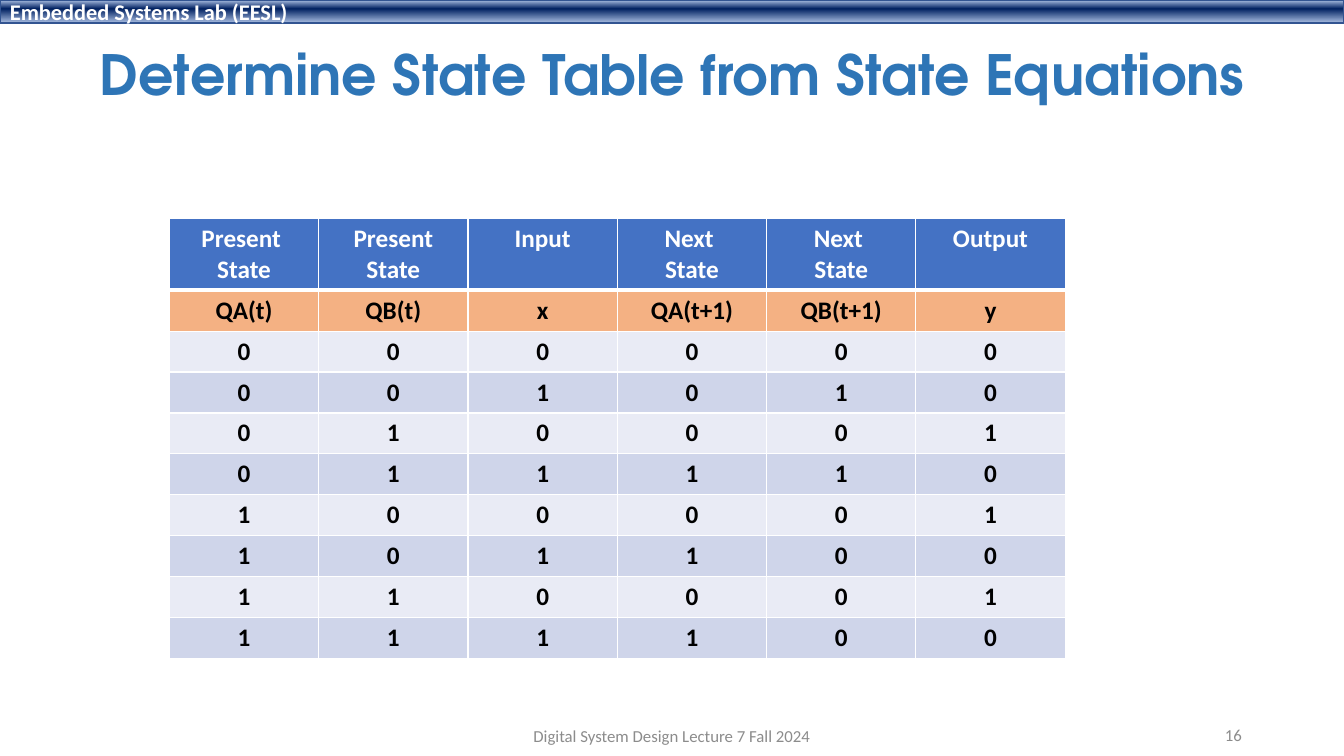
import lxml.etree
import pptx
import pptx.dml.color
import pptx.enum.shapes
import pptx.enum.text
import pptx.oxml.ns
import pptx.util

Pt = pptx.util.Pt
RGBColor = pptx.dml.color.RGBColor
ALIGN = pptx.enum.text.PP_ALIGN
MIDDLE = pptx.enum.text.MSO_ANCHOR.MIDDLE
qn = pptx.oxml.ns.qn

WHITE = RGBColor(0xFF, 0xFF, 0xFF)
BLACK = RGBColor(0x00, 0x00, 0x00)
GREY = RGBColor(0x8C, 0x8C, 0x8C)
TITLE_BLUE = RGBColor(0x2E, 0x75, 0xB6)
BAR_LINE = RGBColor(0x32, 0x54, 0x91)
BAR_LIGHT = RGBColor(0xAB, 0xC0, 0xE4)
BAR_NAVY = RGBColor(0x00, 0x20, 0x60)
HEADER_BLUE = RGBColor(0x44, 0x72, 0xC4)
SIGNAL_ORANGE = RGBColor(0xF4, 0xB1, 0x83)
BAND_LIGHT = RGBColor(0xE9, 0xEB, 0xF5)
BAND_DARK = RGBColor(0xCF, 0xD5, 0xEA)

BODY_FONT = "Calibri"
TITLE_FONT = "TeX Gyre Adventor"
HEADINGS = ["Present \nState", "Present\nState", "Input",
            "Next \nState", "Next \nState", "Output"]
SIGNALS = ["QA(t)", "QB(t)", "x", "QA(t+1)", "QB(t+1)", "y"]
STATES = ["000000", "001010", "010001", "011110",
          "100001", "101100", "110001", "111100"]
HEADER_HEIGHT = 50.4
ROW_HEIGHT = 29.2


def write(frame, text, size, color, align, bold=False, font=BODY_FONT):
    for index, line in enumerate(text.split("\n")):
        para = frame.add_paragraph() if index else frame.paragraphs[0]
        para.alignment = align
        span = para.add_run()
        span.text = line
        span.font.name = font
        span.font.size = Pt(size)
        span.font.bold = bold
        span.font.color.rgb = color


def add_lab_bar(page, left, top, width, height):
    bar = page.shapes.add_shape(pptx.enum.shapes.MSO_SHAPE.RECTANGLE,
                                Pt(left), Pt(top), Pt(width), Pt(height))
    bar.shadow.inherit = False
    bar.line.color.rgb = BAR_LINE
    bar.line.width = Pt(1)
    # Vertical gradient: light edges around a navy band
    bar.fill.gradient()
    bar.fill.gradient_angle = 270
    first, last = bar.fill.gradient_stops
    for stop, place, color in [(first, 0, BAR_LIGHT), (last, 1, BAR_LIGHT)]:
        stop.position = place
        stop.color.rgb = color
    stops = bar.element.spPr.find(qn("a:gradFill")).find(qn("a:gsLst"))
    navy = lxml.etree.Element(qn("a:gs"), pos="38000")
    lxml.etree.SubElement(navy, qn("a:srgbClr"), val=str(BAR_NAVY))
    stops.insert(1, navy)
    # Label
    frame = bar.text_frame
    frame.margin_top = frame.margin_bottom = Pt(0)
    frame.vertical_anchor = MIDDLE
    write(frame, "Embedded Systems Lab (EESL)", 16, WHITE, ALIGN.LEFT, bold=True)


def place_title(page, left, top, width, height):
    title = page.shapes.title
    title.left, title.top = Pt(left), Pt(top)
    title.width, title.height = Pt(width), Pt(height)
    frame = title.text_frame
    frame.vertical_anchor = MIDDLE
    write(frame, "Determine State Table from State Equations", 39.6, TITLE_BLUE,
          ALIGN.LEFT, bold=True, font=TITLE_FONT)
    frame.paragraphs[0].line_spacing = 0.9


def set_borders(cell, top, bottom):
    properties = cell._tc.get_or_add_tcPr()
    sides = [("L", 1), ("R", 1), ("T", top), ("B", bottom)]
    for index, (side, weight) in enumerate(sides):
        edge = lxml.etree.Element(qn("a:ln" + side), w=str(Pt(weight)))
        fill = lxml.etree.SubElement(edge, qn("a:solidFill"))
        lxml.etree.SubElement(fill, qn("a:srgbClr"), val=str(WHITE))
        properties.insert(index, edge)


def add_state_table(page, left, top, width):
    rows = [HEADINGS, SIGNALS] + [list(state) for state in STATES]
    height = HEADER_HEIGHT + ROW_HEIGHT * (len(rows) - 1)
    table = page.shapes.add_table(len(rows), len(HEADINGS), Pt(left), Pt(top),
                                  Pt(width), Pt(height)).table
    for column in table.columns:
        column.width = Pt(width / len(HEADINGS))
    for index, texts in enumerate(rows):
        table.rows[index].height = Pt(ROW_HEIGHT if index else HEADER_HEIGHT)
        if index < 2:
            fill = (HEADER_BLUE, SIGNAL_ORANGE)[index]
        else:
            fill = (BAND_LIGHT, BAND_DARK)[index % 2]
        for cell, text in zip(table.rows[index].cells, texts):
            cell.fill.solid()
            cell.fill.fore_color.rgb = fill
            set_borders(cell, top=3 if index == 1 else 1, bottom=1 if index else 3)
            write(cell.text_frame, text, 18, BLACK if index else WHITE,
                  ALIGN.CENTER, bold=True)


def add_footer_text(page, text, align, left, top, width, height):
    box = page.shapes.add_textbox(Pt(left), Pt(top), Pt(width), Pt(height))
    box.text_frame.word_wrap = True
    box.text_frame.vertical_anchor = MIDDLE
    write(box.text_frame, text, 12, GREY, align)


def build_state_table_slide(deck):
    page = deck.slides.add_slide(deck.slide_layouts[5])
    # Top bar and title
    add_lab_bar(page, 0, 0, 960, 16.6)
    place_title(page, 64, 28, 867.6, 55.4)
    # State table
    add_state_table(page, 121, 156.2, 640)
    # Page number and footer
    add_footer_text(page, "16", ALIGN.RIGHT, 678.2, 510.5, 216, 28.8)
    add_footer_text(page, "Digital System Design Lecture 7 Fall 2024", ALIGN.CENTER,
                    318, 511.2, 324, 28.8)


def main():
    deck = pptx.Presentation()
    deck.slide_width, deck.slide_height = Pt(960), Pt(540)
    build_state_table_slide(deck)
    deck.save("out.pptx")


if __name__ == "__main__":
    main()
